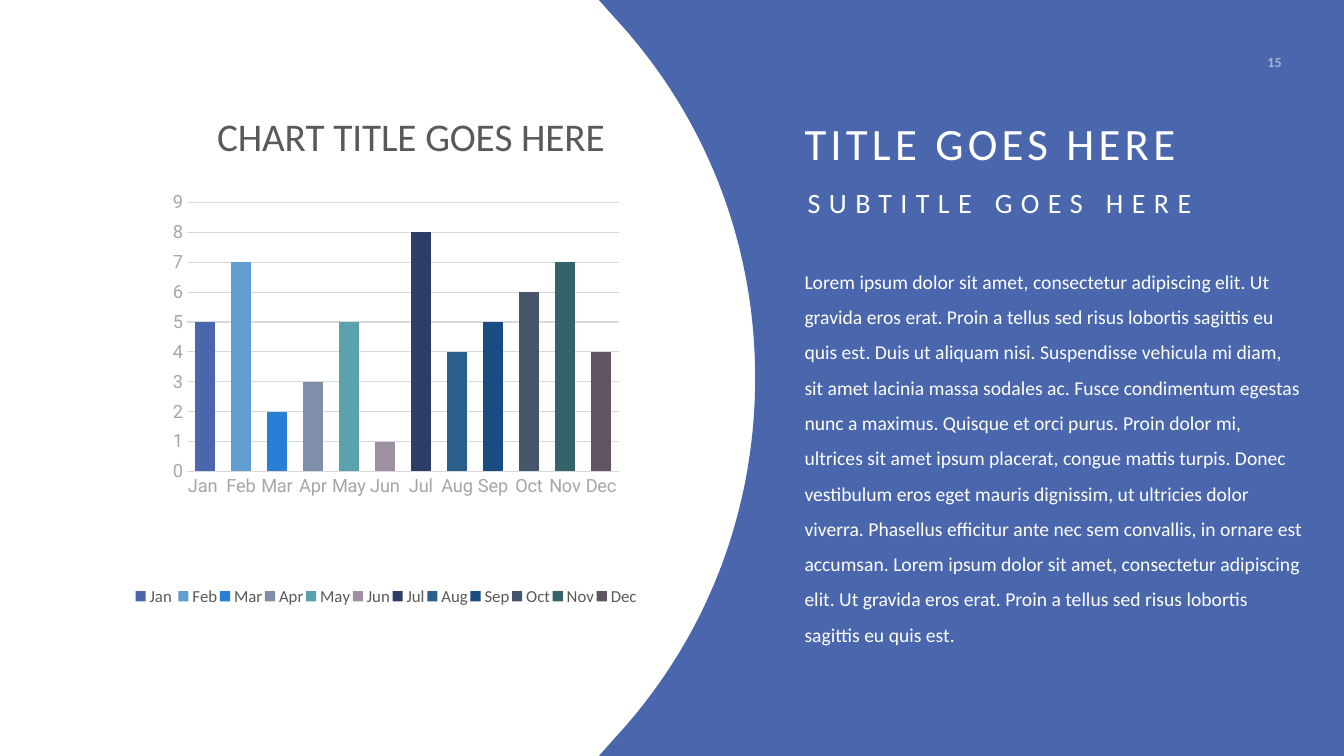
"""Build a slide with a monthly column chart beside a curved blue text panel."""
from lxml.etree import SubElement
from pptx import Presentation
from pptx.chart.data import CategoryChartData
from pptx.dml.color import RGBColor
from pptx.enum.chart import XL_CHART_TYPE, XL_LEGEND_POSITION, XL_TICK_MARK
from pptx.enum.text import MSO_ANCHOR, PP_ALIGN
from pptx.oxml.ns import qn
from pptx.util import Inches, Pt

C = {"panel": "4A66AC", "white": "FFFFFF", "axis": "A6A6A6", "grid": "D9D9D9", "label": "595959"}
MONTHS = [
    ("Jan ", 5, "4A66AC"), ("Feb", 7, "629DD1"), ("Mar", 2, "297FD5"),
    ("Apr", 3, "7F8FA9"), ("May", 5, "5AA2AE"), ("Jun", 1, "9D90A0"),
    ("Jul", 8, "2C3D67"), ("Aug", 4, "2A5F8E"), ("Sep", 5, "194C80"),
    ("Oct", 6, "47556A"), ("Nov", 7, "34636A"), ("Dec", 4, "605462"),
]
BODY = (
    "Lorem ipsum dolor sit amet, consectetur adipiscing elit. Ut gravida eros erat. "
    "Proin a tellus sed risus lobortis sagittis eu quis est. Duis ut aliquam nisi. "
    "Suspendisse vehicula mi diam, sit amet lacinia massa sodales ac. Fusce condimentum "
    "egestas nunc a maximus. Quisque et orci purus. Proin dolor mi, ultrices sit amet ipsum "
    "placerat, congue mattis turpis. Donec vestibulum eros eget mauris dignissim, ut ultricies "
    "dolor viverra. Phasellus efficitur ante nec sem convallis, in ornare est accumsan. "
    "Lorem ipsum dolor sit amet, consectetur adipiscing elit. Ut gravida eros erat. "
    "Proin a tellus sed risus lobortis sagittis eu quis est."
)

prs = Presentation()
prs.slide_width, prs.slide_height = Inches(13.33), Inches(7.5)
X, Y = prs.slide_width / 100, prs.slide_height / 100
s = prs.slides.add_slide(prs.slide_layouts[6])


def add_text(text, left, top, width, height, size, spacing=1.0, tracking=0, bold=False,
             align=PP_ALIGN.LEFT, anchor=MSO_ANCHOR.TOP, inset=0.05, alpha=100):
    box = s.shapes.add_textbox(int(left * X), int(top * Y), int(width * X), int(height * Y))
    tf = box.text_frame
    tf.word_wrap, tf.vertical_anchor = True, anchor
    tf.margin_left = tf.margin_right = 0
    tf.margin_top = tf.margin_bottom = Inches(inset)
    p = tf.paragraphs[0]
    p.alignment, p.line_spacing = align, spacing
    r = p.add_run()
    r.text = text
    r.font.name, r.font.size, r.font.bold = "Calibri", Pt(size), bold
    r.font.color.rgb = RGBColor.from_string(C["white"])
    if tracking:
        r.font._element.set("spc", str(tracking * 100))
    if alpha < 100:
        color = r.font._element.find(".//" + qn("a:srgbClr"))
        SubElement(color, qn("a:alpha")).set("val", str(alpha * 1000))


def place(part, **shares):
    for old in part.findall(qn("c:layout")):
        part.remove(old)
    layout = SubElement(part, qn("c:layout"))
    manual = SubElement(layout, qn("c:manualLayout"))
    for tag, value in shares.items():
        SubElement(manual, qn("c:" + tag)).set("val", str(value))
    overlay = part.find(qn("c:overlay"))
    (part[0] if overlay is None else overlay).addprevious(layout)


curve = [(45.76, 97.6), (52.29, 85.07), (56.19, 68.4), (56.19, 50)]
lower = []
for i in range(41):
    t = i / 40
    weights = ((1 - t) ** 3, 3 * t * (1 - t) ** 2, 3 * t * t * (1 - t), t ** 3)
    lower.append(tuple(sum(w * pt[k] for w, pt in zip(weights, curve)) for k in (0, 1)))
upper = [(x, 100 - y) for x, y in reversed(lower[:-1])]
outline = [(100, 0), (100, 100), (44.56, 100)] + lower + upper
fb = s.shapes.build_freeform(int(44.56 * X), 0)
fb.add_line_segments([(x * X, y * Y) for x, y in outline])
sp = fb.convert_to_shape()
sp.shadow.inherit = False
sp.fill.solid()
sp.fill.fore_color.rgb = RGBColor.from_string(C["panel"])
sp.line.fill.background()

add_text("15", 89.57, 6.4, 5.78, 3.6, 10, bold=True, align=PP_ALIGN.RIGHT,
         anchor=MSO_ANCHOR.MIDDLE, inset=0, alpha=50)

data = CategoryChartData()
data.categories = [month for month, _, _ in MONTHS]
data.add_series("Series 1", [value for _, value, _ in MONTHS])
chart = s.shapes.add_chart(XL_CHART_TYPE.COLUMN_CLUSTERED, int(9.08 * X), int(7.6 * Y),
                           int(40.96 * X), int(86.4 * Y), data).chart
chart.font.name, chart.font.size = "Roboto", Pt(15)

chart.has_title = True
p = chart.chart_title.text_frame.paragraphs[0]
r = p.add_run()
r.text = "CHART TITLE GOES HERE"
chart.chart_title.include_in_layout = False
chart.has_legend = True
chart.legend.position = XL_LEGEND_POSITION.BOTTOM
chart.legend.include_in_layout = False
for font, size in ((r.font, 28), (chart.legend.font, 12)):
    font.name, font.size, font.bold = "Calibri", Pt(size), False
    font.color.rgb = RGBColor.from_string(C["label"])

plot = chart.plots[0]
plot.gap_width, plot.overlap, plot.vary_by_categories = 75, -25, True
for i, (_, _, color) in enumerate(MONTHS):
    fill = plot.series[0].points[i].format.fill
    fill.solid()
    fill.fore_color.rgb = RGBColor.from_string(color)

cat, val = chart.category_axis, chart.value_axis
val.minimum_scale, val.maximum_scale, val.major_unit = 0, 9, 1
val.has_major_gridlines = True
for ax in (cat, val):
    ax.major_tick_mark = ax.minor_tick_mark = XL_TICK_MARK.NONE
    font = ax.tick_labels.font
    font.name, font.size = "Roboto", Pt(13)
    font.color.rgb = RGBColor.from_string(C["axis"])
    ax._element.find(".//" + qn("a:bodyPr")).set("rot", "-60000000")
for line in (cat.format.line, val.major_gridlines.format.line):
    line.width = Pt(0.75)
    line.color.rgb = RGBColor.from_string(C["grid"])
val.format.line.fill.background()

place(chart.chart_title._element, xMode="edge", yMode="edge", x=0.16, y=0.07)
place(chart.legend._element, xMode="edge", yMode="edge", x=0.02, y=0.8, w=0.92, h=0.05)
place(chart._chartSpace.find(".//" + qn("c:plotArea")), layoutTarget="inner",
      xMode="edge", yMode="edge", x=0.118, y=0.222, w=0.785, h=0.412)

add_text("TITLE GOES HERE", 59.86, 15.07, 37.06, 8.4, 32, spacing=0.9, tracking=3,
         anchor=MSO_ANCHOR.MIDDLE)
add_text("SUBTITLE GOES HERE", 60.09, 24.4, 36.76, 6, 20, spacing=0.9, tracking=6)
add_text(BODY, 59.86, 33.47, 37.06, 55.07, 14, spacing=1.5)

prs.save("out.pptx")
